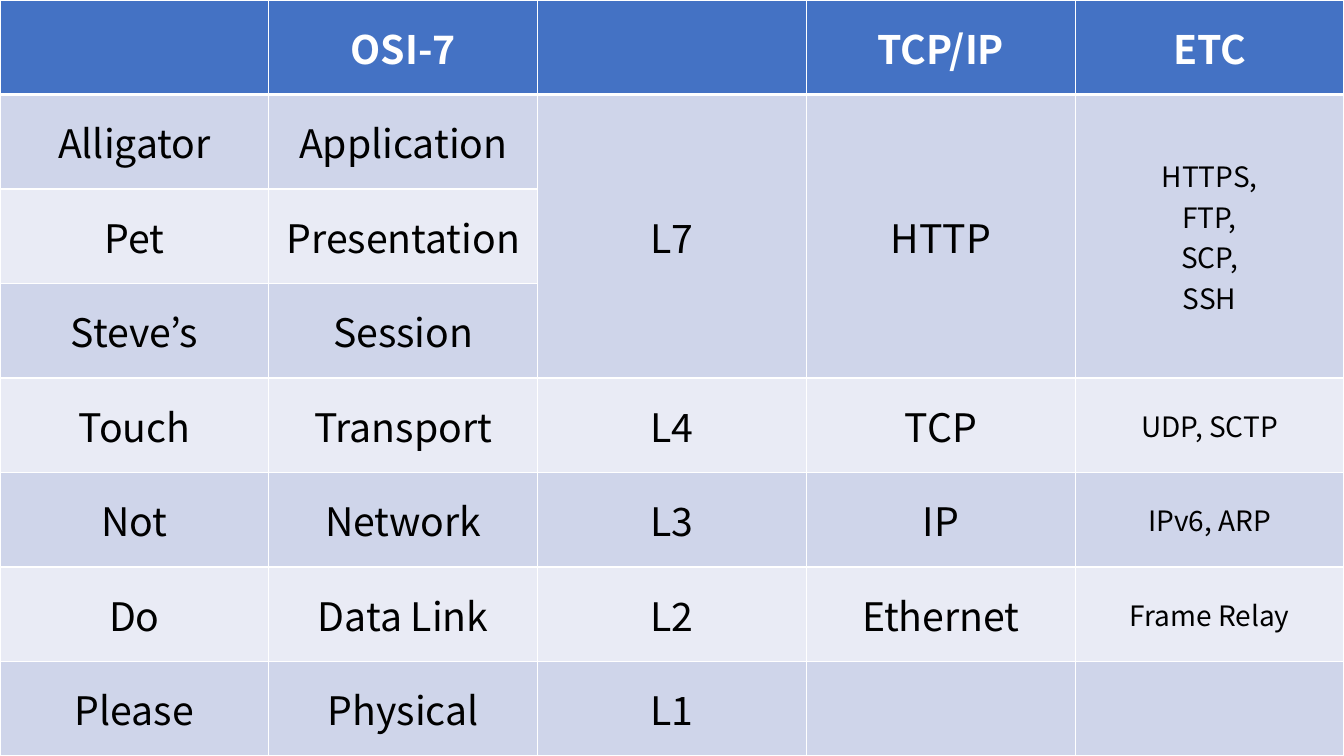
from dataclasses import dataclass

from lxml.etree import SubElement
from pptx import Presentation
from pptx.dml.color import RGBColor
from pptx.enum.text import MSO_ANCHOR, PP_ALIGN
from pptx.oxml.ns import qn
from pptx.table import Table, _Cell
from pptx.util import Cm, Pt

PAGE_WIDTH = Cm(33.87)
PAGE_HEIGHT = Cm(19.05)
FONT = "Noto Sans CJK KR"
WHITE = RGBColor(0xFF, 0xFF, 0xFF)
BLACK = RGBColor(0x00, 0x00, 0x00)
HEADER_BLUE = RGBColor(0x44, 0x72, 0xC4)
BAND_DARK = RGBColor(0xCF, 0xD5, 0xEA)
BAND_LIGHT = RGBColor(0xE9, 0xEB, 0xF5)


@dataclass(frozen=True)
class LayerRow:
    mnemonic: str = ""
    osi: str = ""
    level: str = ""
    tcp_ip: str = ""
    etc: str = ""

    def texts(self) -> tuple[str, ...]:
        return self.mnemonic, self.osi, self.level, self.tcp_ip, self.etc


ROWS = (
    LayerRow(osi="OSI-7", tcp_ip="TCP/IP", etc="ETC"),
    LayerRow("Alligator", "Application", "L7", "HTTP", "HTTPS,\nFTP,\nSCP,\nSSH"),
    LayerRow("Pet", "Presentation"),
    LayerRow("Steve’s", "Session"),
    LayerRow("Touch", "Transport", "L4", "TCP", "UDP, SCTP"),
    LayerRow("Not", "Network", "L3", "IP", "IPv6, ARP"),
    LayerRow("Do", "Data Link", "L2", "Ethernet", "Frame Relay"),
    LayerRow("Please", "Physical", "L1"),
)
COLUMN_COUNT = 5
ETC_COLUMN = 4
MERGED_COLUMNS = (2, 3, 4)
MERGED_ROWS = (1, 3)


def add_borders(cell: _Cell, top: float, bottom: float) -> None:
    """Draw white cell borders; must run before the fill is set."""
    properties = cell._tc.get_or_add_tcPr()
    widths = {"a:lnL": 1, "a:lnR": 1, "a:lnT": top, "a:lnB": bottom}
    for tag, width in widths.items():
        line = SubElement(properties, qn(tag), w=str(Pt(width)))
        fill = SubElement(line, qn("a:solidFill"))
        SubElement(fill, qn("a:srgbClr"), val=str(WHITE))


def write_cell(cell: _Cell, text: str, size: int, color: RGBColor, bold: bool) -> None:
    cell.vertical_anchor = MSO_ANCHOR.MIDDLE
    cell.text_frame.text = text
    for para in cell.text_frame.paragraphs:
        para.alignment = PP_ALIGN.CENTER
        for span in para.runs:
            span.font.name = FONT
            span.font.size = Pt(size)
            span.font.bold = bold
            span.font.color.rgb = color


def fill_row(table: Table, row: int, layer: LayerRow) -> None:
    header = row == 0
    band = HEADER_BLUE if header else BAND_DARK if row % 2 else BAND_LIGHT
    for column, text in enumerate(layer.texts()):
        cell = table.cell(row, column)
        add_borders(cell, top=3 if row == 1 else 1, bottom=3 if header else 1)
        cell.fill.solid()
        cell.fill.fore_color.rgb = band
        size = 20 if column == ETC_COLUMN and not header else 28
        write_cell(cell, text, size, WHITE if header else BLACK, header)


def main() -> None:
    deck = Presentation()
    deck.slide_width = PAGE_WIDTH
    deck.slide_height = PAGE_HEIGHT
    page = deck.slides.add_slide(deck.slide_layouts[6])
    frame = page.shapes.add_table(
        len(ROWS), COLUMN_COUNT, Cm(0), Cm(0), PAGE_WIDTH, PAGE_HEIGHT
    )
    table = frame.table
    for row, layer in enumerate(ROWS):
        fill_row(table, row, layer)
    first, last = MERGED_ROWS
    for column in MERGED_COLUMNS:
        table.cell(first, column).merge(table.cell(last, column))
    deck.save("out.pptx")


if __name__ == "__main__":
    main()
